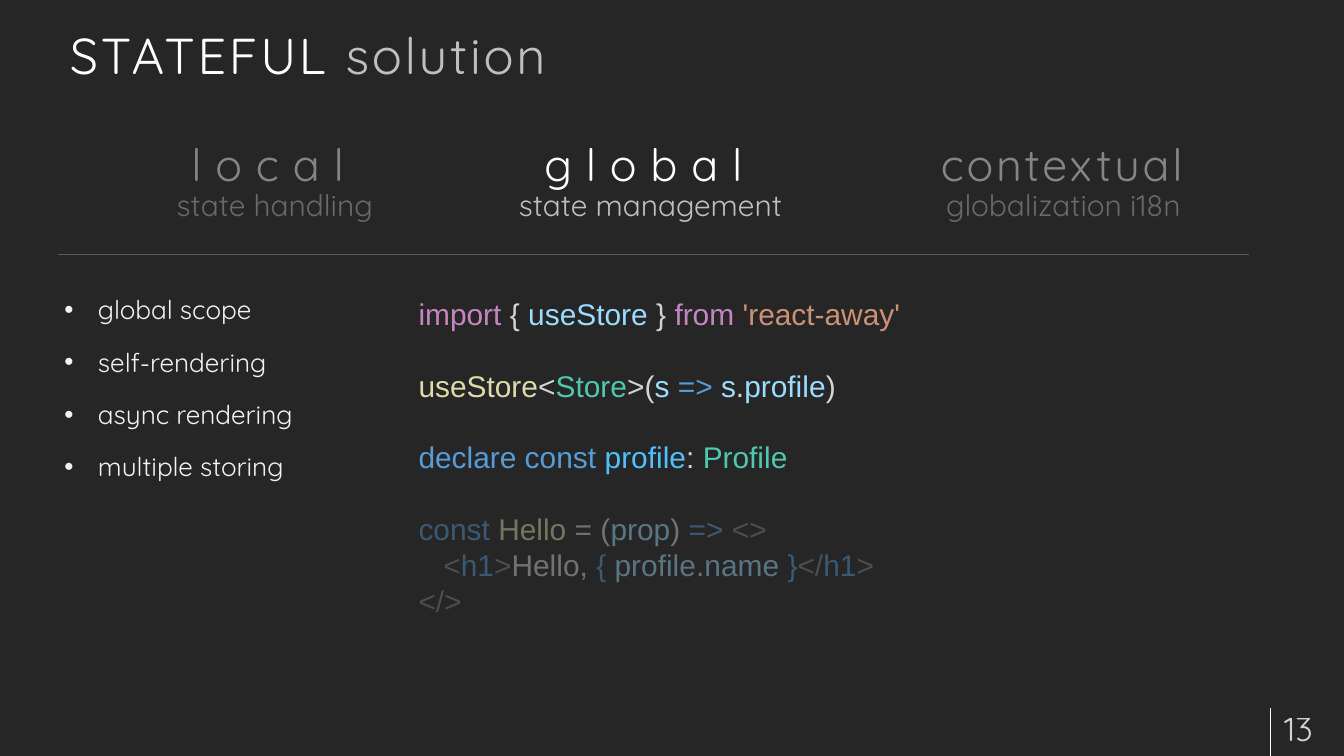
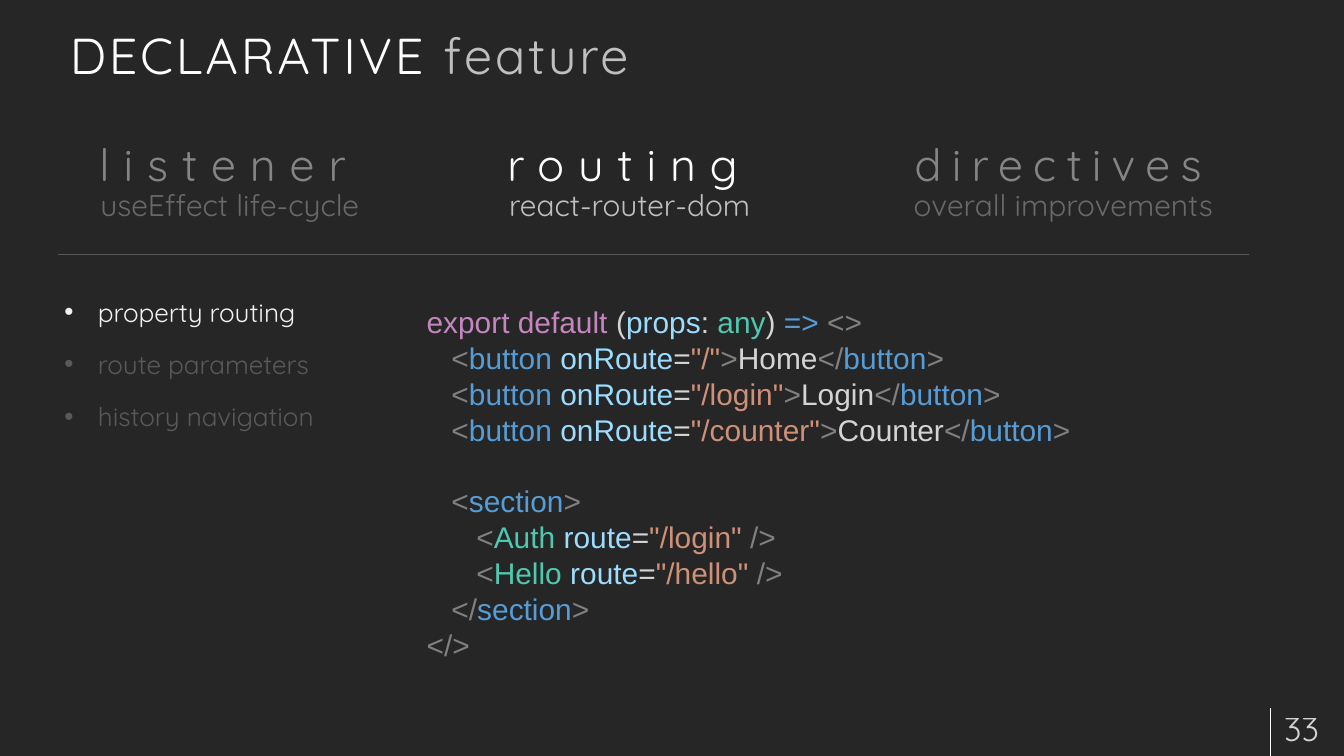
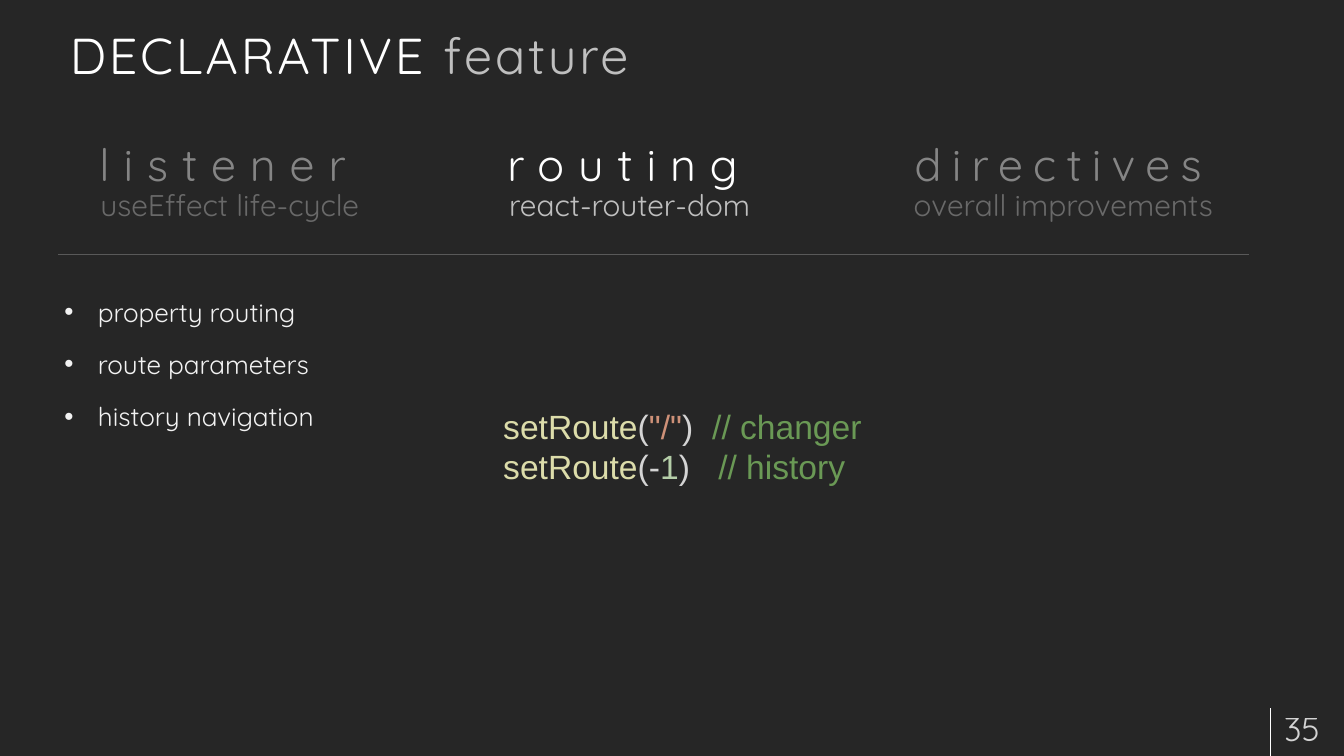
from dataclasses import dataclass
from typing import NamedTuple

from pptx import Presentation, util as u
from pptx.dml.color import RGBColor
from pptx.enum import shapes, text
from pptx.oxml.ns import qn
from lxml import etree

PX = 9144  # EMU; 100 px to the inch

BACKGROUND = RGBColor(0x26, 0x26, 0x26)
WHITE = RGBColor(0xFF, 0xFF, 0xFF)
SOFT = RGBColor(0xBF, 0xBF, 0xBF)
BRIGHT = RGBColor(0xF2, 0xF2, 0xF2)
DIM = RGBColor(0x59, 0x59, 0x59)

# Syntax colours of the code samples
KEYWORD = RGBColor(0xC5, 0x86, 0xC0)
PLAIN = RGBColor(0xD4, 0xD4, 0xD4)
VARIABLE = RGBColor(0x9C, 0xDC, 0xFE)
CONSTANT = RGBColor(0x4F, 0xC1, 0xFF)
STRING = RGBColor(0xCE, 0x91, 0x78)
FUNCTION = RGBColor(0xDC, 0xDC, 0xAA)
TYPE = RGBColor(0x4E, 0xC9, 0xB0)
ELEMENT = RGBColor(0x56, 0x9C, 0xD6)
BRACKET = RGBColor(0x80, 0x80, 0x80)
NUMBER = RGBColor(0xB5, 0xCE, 0xA8)
COMMENT = RGBColor(0x6A, 0x99, 0x55)

HEAD_FONT = "Quicksand"
CODE_FONT = "Arial"
CODE_INDENT = 37
BULLET_INDENT = 50


class Box(NamedTuple):
    x: int
    y: int
    w: int
    h: int


class Token(NamedTuple):
    text: str
    color: RGBColor


@dataclass
class Line:
    tokens: list[Token]
    level: int = 0
    gap: bool = False  # leave one line free above
    tab: int = 0


@dataclass
class Column:
    heading: str
    caption: str
    box: Box
    spacing: int = 15


@dataclass
class Code:
    box: Box
    lines: list[Line]
    size: int = 32


@dataclass
class Page:
    title: tuple[str, str]
    number: int
    columns: list[Column]
    bullets: list[Token]
    bullet_box: Box
    code: Code
    veils: list[Box]


def emu(box: Box) -> list[int]:
    return [v * PX for v in box]


def set_alpha(element, percent: int) -> None:
    for color in element.iter(qn("a:srgbClr")):
        etree.SubElement(color, qn("a:alpha")).set("val", str(percent * 1000))


def add_text(p, content: str, *, size: int, color: RGBColor, font: str = HEAD_FONT,
             spacing: int = 0, alpha: int = 100) -> None:
    r = p.add_run()
    r.text = content
    r.font.size, r.font.name = u.Pt(size), font
    r.font.color.rgb = color
    rPr = r.font._element
    if spacing:
        rPr.set("spc", str(spacing * 100))
    if alpha < 100:
        set_alpha(rPr, alpha)


def add_frame(s, box: Box, anchor=text.MSO_ANCHOR.TOP, inset: tuple[int, int] = (10, 5)):
    tf = s.shapes.add_textbox(*emu(box)).text_frame
    tf.word_wrap = True
    tf.vertical_anchor = anchor
    tf.margin_left = tf.margin_right = inset[0] * PX
    tf.margin_top = tf.margin_bottom = inset[1] * PX
    return tf


def add_paragraph(tf, first: bool):
    return tf.paragraphs[0] if first else tf.add_paragraph()


def add_line(s, x1: int, y1: int, x2: int, y2: int, color: RGBColor) -> None:
    c = s.shapes.add_connector(shapes.MSO_CONNECTOR.STRAIGHT, *emu((x1, y1, x2, y2)))
    c.line.color.rgb, c.line.width = color, u.Pt(0.75)
    etree.SubElement(c._element.spPr, qn("a:effectLst"))


def add_veil(s, box: Box) -> None:
    """Fade what lies below with a translucent sheet of the background colour."""
    sp = s.shapes.add_shape(shapes.MSO_SHAPE.RECTANGLE, *emu(box))
    sp.shadow.inherit = False
    sp.fill.solid()
    sp.fill.fore_color.rgb = BACKGROUND
    sp.line.fill.background()
    set_alpha(sp._element.spPr, 56)


def add_column(s, col: Column) -> None:
    p = add_frame(s, col.box).paragraphs[0]
    p.alignment, p.line_spacing = text.PP_ALIGN.CENTER, 0.9
    p.space_before = u.Pt(9.6)
    add_text(p, col.heading, size=48, color=WHITE, spacing=col.spacing)
    p.add_line_break()
    add_text(p, col.caption, size=32, color=SOFT)


def add_bullets(s, box: Box, items: list[Token]) -> None:
    tf = add_frame(s, box)
    for i, item in enumerate(items):
        p = add_paragraph(tf, i == 0)
        p.line_spacing, p.space_before = 1.5, u.Pt(5.6)
        pPr = p._p.get_or_add_pPr()
        pPr.set("marL", str(BULLET_INDENT * PX))
        pPr.set("indent", str(-BULLET_INDENT * PX))
        etree.SubElement(pPr, qn("a:buFont")).set("typeface", "Arial")
        etree.SubElement(pPr, qn("a:buChar")).set("char", "•")
        add_text(p, item.text, size=28, color=item.color)


def add_code(s, code: Code) -> None:
    tf = add_frame(s, code.box)
    for i, line in enumerate(code.lines):
        p = add_paragraph(tf, i == 0)
        if line.gap:
            p.space_before = u.Pt(code.size * 1.2)
        pPr = p._p.get_or_add_pPr()
        if line.level:
            pPr.set("marL", str(line.level * CODE_INDENT * PX))
            pPr.set("indent", "0")
        if line.tab:
            tabs = etree.SubElement(pPr, qn("a:tabLst"))
            etree.SubElement(tabs, qn("a:tab"), pos=str(line.tab * PX), algn="l")
        for token in line.tokens:
            add_text(p, token.text, size=code.size, color=token.color, font=CODE_FONT)


def add_page(prs, page: Page) -> None:
    s = prs.slides.add_slide(prs.slide_layouts[6])
    s.background.fill.solid()
    s.background.fill.fore_color.rgb = BACKGROUND
    add_line(s, 1890, 1054, 1890, 1125, WHITE)
    add_line(s, 86, 379, 1858, 379, DIM)

    p = add_frame(s, Box(86, 0, 1800, 135), text.MSO_ANCHOR.BOTTOM, (18, 9)).paragraphs[0]
    for part, color in zip(page.title, (WHITE, SOFT)):
        add_text(p, part, size=54, color=color, spacing=3)
    p = add_frame(s, Box(1893, 1054, 115, 60), text.MSO_ANCHOR.MIDDLE, (18, 9)).paragraphs[0]
    add_text(p, str(page.number), size=36, color=WHITE, alpha=80)

    for col in page.columns:
        add_column(s, col)
    add_bullets(s, page.bullet_box, page.bullets)
    add_code(s, page.code)
    for veil in page.veils:
        add_veil(s, veil)


def open_tag(name: str) -> list[Token]:
    return [Token("<", BRACKET), Token(name, ELEMENT), Token(">", BRACKET)]


def close_tag(name: str) -> list[Token]:
    return [Token("</", BRACKET), Token(name, ELEMENT), Token(">", BRACKET)]


def attribute(name: str, value: str) -> list[Token]:
    return [Token(name, VARIABLE), Token("=", PLAIN), Token(f'"{value}"', STRING)]


def button(route: str, label: str) -> Line:
    return Line([Token("<", BRACKET), Token("button ", ELEMENT), *attribute("onRoute", route),
                 Token(">", BRACKET), Token(label, PLAIN), *close_tag("button")], level=1)


def routed(component: str, route: str) -> Line:
    return Line([Token("<", BRACKET), Token(component + " ", TYPE),
                 *attribute("route", route), Token(" />", BRACKET)], level=2)


def set_route(argument: list[Token], comment: str, tab: int) -> Line:
    return Line([Token("setRoute", FUNCTION), Token("(", PLAIN), *argument,
                 Token(")\t", PLAIN), Token(comment, COMMENT)], tab=tab)


END_FRAGMENT = Line([Token("</>", BRACKET)])

STORE_CODE = [
    Line([Token("import", KEYWORD), Token(" { ", PLAIN), Token("useStore", VARIABLE),
          Token(" } ", PLAIN), Token("from ", KEYWORD), Token("'react-away'", STRING)]),
    Line([Token("useStore", FUNCTION), Token("<", PLAIN), Token("Store", TYPE),
          Token(">(", PLAIN), Token("s ", VARIABLE), Token("=> ", ELEMENT),
          Token("s", VARIABLE), Token(".", PLAIN), Token("profile", VARIABLE),
          Token(")", PLAIN)], gap=True),
    Line([Token("declare const ", ELEMENT), Token("profile", CONSTANT),
          Token(": ", PLAIN), Token("Profile", TYPE)], gap=True),
    Line([Token("const ", ELEMENT), Token("Hello", FUNCTION), Token(" = (", PLAIN),
          Token("prop", VARIABLE), Token(") ", PLAIN), Token("=> ", ELEMENT),
          Token("<>", BRACKET)], gap=True),
    Line([*open_tag("h1"), Token("Hello, ", PLAIN), Token("{ ", ELEMENT),
          Token("profile", VARIABLE), Token(".", PLAIN), Token("name ", VARIABLE),
          Token("}", ELEMENT), *close_tag("h1")], level=1),
    END_FRAGMENT,
]

ROUTING_CODE = [
    Line([Token("export default", KEYWORD), Token(" (", PLAIN), Token("props", VARIABLE),
          Token(": ", PLAIN), Token("any", TYPE), Token(") ", PLAIN),
          Token("=> ", ELEMENT), Token("<>", BRACKET)]),
    button("/", "Home"),
    button("/login", "Login"),
    button("/counter", "Counter"),
    Line(open_tag("section"), level=1, gap=True),
    routed("Auth", "/login"),
    routed("Hello", "/hello"),
    Line(close_tag("section"), level=1),
    END_FRAGMENT,
]

HISTORY_CODE = [
    set_route([Token('"/"', STRING)], "// changer", 311),
    set_route([Token("-", PLAIN), Token("1", NUMBER)], "// history", 320),
]

STATE_COLUMNS = [
    Column("local", "state handling", Box(205, 207, 408, 129)),
    Column("global", "state management", Box(749, 207, 438, 129)),
    Column("contextual", "globalization i18n", Box(1323, 207, 519, 129), spacing=3),
]
FEATURE_COLUMNS = [
    Column("listener", "useEffect life-cycle", Box(123, 207, 438, 129)),
    Column("routing", "react-router-dom", Box(733, 207, 408, 129)),
    Column("directives", "overall improvements", Box(1323, 207, 519, 129), spacing=11),
]
STATE_BULLETS = ["global scope", "self-rendering", "async rendering", "multiple storing"]
ROUTING_BULLETS = ["property routing", "route parameters", "history navigation"]
FEATURE_TITLE = ("DECLARATIVE ", "feature")
FEATURE_BULLET_BOX = Box(86, 412, 475, 308)

PAGES = [
    Page(("STATEFUL ", "solution"), 13, STATE_COLUMNS,
         [Token(b, BRIGHT) for b in STATE_BULLETS], Box(86, 409, 475, 492),
         Code(Box(613, 435, 1000, 495), STORE_CODE),
         [Box(183, 181, 566, 182), Box(617, 739, 941, 191), Box(1321, 172, 521, 182)]),
    Page(FEATURE_TITLE, 33, FEATURE_COLUMNS,
         [Token(b, DIM if i else BRIGHT) for i, b in enumerate(ROUTING_BULLETS)],
         FEATURE_BULLET_BOX, Code(Box(625, 447, 1233, 549), ROUTING_CODE),
         [Box(1275, 174, 607, 182), Box(72, 171, 607, 182)]),
    Page(FEATURE_TITLE, 35, FEATURE_COLUMNS,
         [Token(b, BRIGHT) for b in ROUTING_BULLETS],
         FEATURE_BULLET_BOX, Code(Box(739, 599, 811, 131), HISTORY_CODE, size=36),
         [Box(1265, 161, 620, 182), Box(46, 163, 620, 182)]),
]


def main() -> None:
    prs = Presentation()
    prs.slide_width, prs.slide_height = 2000 * PX, 1125 * PX
    for page in PAGES:
        add_page(prs, page)
    prs.save("out.pptx")


if __name__ == "__main__":
    main()
